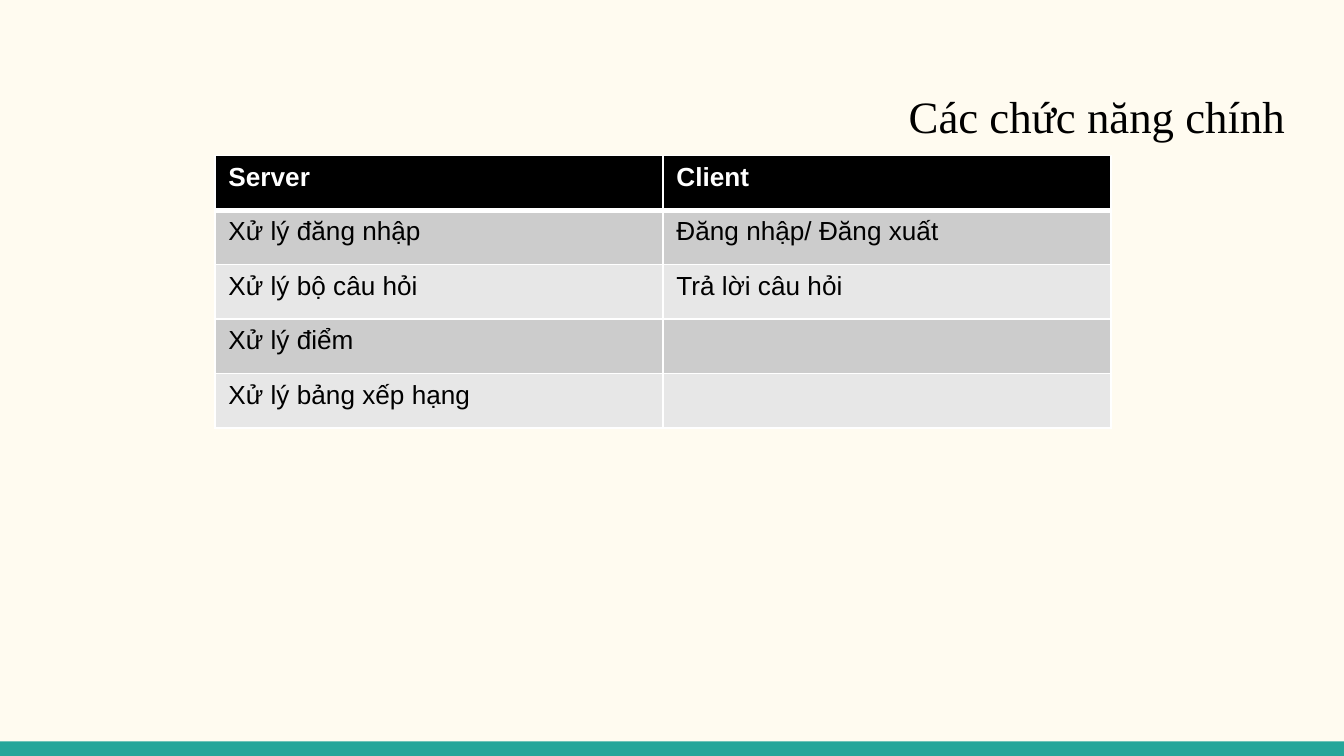
"""Build the slide that lists the main functions of server and client."""
from dataclasses import dataclass

from lxml.etree import SubElement
from pptx import Presentation
from pptx.dml.color import RGBColor
from pptx.enum.shapes import MSO_SHAPE
from pptx.enum.text import MSO_ANCHOR, PP_ALIGN
from pptx.oxml.ns import qn
from pptx.slide import Slide
from pptx.table import _Cell
from pptx.text.text import _Paragraph
from pptx.util import Pt


@dataclass(frozen=True)
class Theme:
    background: str = "FFFBF0"
    accent: str = "26A69A"
    ink: str = "000000"
    light: str = "FFFFFF"
    bands: tuple[str, str] = ("CCCCCC", "E7E7E7")
    title_font: str = "Times New Roman"
    body_font: str = "Arial"
    title_size: float = 24
    body_size: float = 14
    thin: float = 1
    thick: float = 3


@dataclass(frozen=True)
class Box:
    left: float
    top: float
    width: float
    height: float

    def lengths(self) -> tuple[Pt, Pt, Pt, Pt]:
        return Pt(self.left), Pt(self.top), Pt(self.width), Pt(self.height)


@dataclass(frozen=True)
class FunctionRow:
    server: str
    client: str = ""


THEME = Theme()
PAGE = Box(0, 0, 720, 405)
BAR = Box(0, 397.2, 720, 7.8)
TITLE = Box(24.5, 35, 671, 48.5)
TABLE = Box(115.2, 83.4, 480, 146)
ROWS = (
    FunctionRow("Server", "Client"),
    FunctionRow("Xử lý đăng nhập", "Đăng nhập/ Đăng xuất"),
    FunctionRow("Xử lý bộ câu hỏi", "Trả lời câu hỏi"),
    FunctionRow("Xử lý điểm"),
    FunctionRow("Xử lý bảng xếp hạng"),
)


def add_span(para: _Paragraph, text: str, font: str, size: float, color: str, bold: bool = False) -> None:
    span = para.add_run()
    span.text = text
    span.font.name = font
    span.font.size = Pt(size)
    span.font.bold = bold
    span.font.color.rgb = RGBColor.from_string(color)


def add_bar(page: Slide) -> None:
    bar = page.shapes.add_shape(MSO_SHAPE.RECTANGLE, *BAR.lengths())
    bar.shadow.inherit = False
    bar.fill.solid()
    bar.fill.fore_color.rgb = RGBColor.from_string(THEME.accent)
    bar.line.fill.background()


def add_title(page: Slide, text: str) -> None:
    frame = page.shapes.add_textbox(*TITLE.lengths()).text_frame
    frame.word_wrap = True
    frame.vertical_anchor = MSO_ANCHOR.BOTTOM
    frame.margin_left = frame.margin_right = Pt(7.2)
    frame.margin_top = frame.margin_bottom = Pt(7.2)
    para = frame.paragraphs[0]
    para.alignment = PP_ALIGN.RIGHT
    para.line_spacing = 1.15
    para.space_after = Pt(16)
    add_span(para, text, THEME.title_font, THEME.title_size, THEME.ink)


def set_borders(cell: _Cell, top: float, bottom: float) -> None:
    properties = cell._tc.get_or_add_tcPr()
    widths = {"a:lnL": THEME.thin, "a:lnR": THEME.thin, "a:lnT": top, "a:lnB": bottom}
    for tag, width in widths.items():
        line = SubElement(properties, qn(tag), w=str(Pt(width)))
        SubElement(SubElement(line, qn("a:solidFill")), qn("a:srgbClr"), val=THEME.light)


def fill_cell(cell: _Cell, text: str, row_index: int) -> None:
    header = row_index == 0
    set_borders(
        cell,
        top=THEME.thick if row_index == 1 else THEME.thin,
        bottom=THEME.thick if header else THEME.thin,
    )
    cell.fill.solid()
    fill = THEME.ink if header else THEME.bands[(row_index - 1) % 2]
    cell.fill.fore_color.rgb = RGBColor.from_string(fill)
    if text:
        color = THEME.light if header else THEME.ink
        add_span(cell.text_frame.paragraphs[0], text, THEME.body_font, THEME.body_size, color, header)


def add_function_table(page: Slide, rows: tuple[FunctionRow, ...]) -> None:
    table = page.shapes.add_table(len(rows), 2, *TABLE.lengths()).table
    for row_index, row in enumerate(rows):
        table.rows[row_index].height = Pt(TABLE.height / len(rows))
        for column_index, text in enumerate((row.server, row.client)):
            fill_cell(table.cell(row_index, column_index), text, row_index)


def main() -> None:
    deck = Presentation()
    deck.slide_width, deck.slide_height = Pt(PAGE.width), Pt(PAGE.height)
    page = deck.slides.add_slide(deck.slide_layouts[6])
    page.background.fill.solid()
    page.background.fill.fore_color.rgb = RGBColor.from_string(THEME.background)
    add_bar(page)
    add_title(page, "Các chức năng chính")
    add_function_table(page, ROWS)
    deck.save("out.pptx")


if __name__ == "__main__":
    main()
